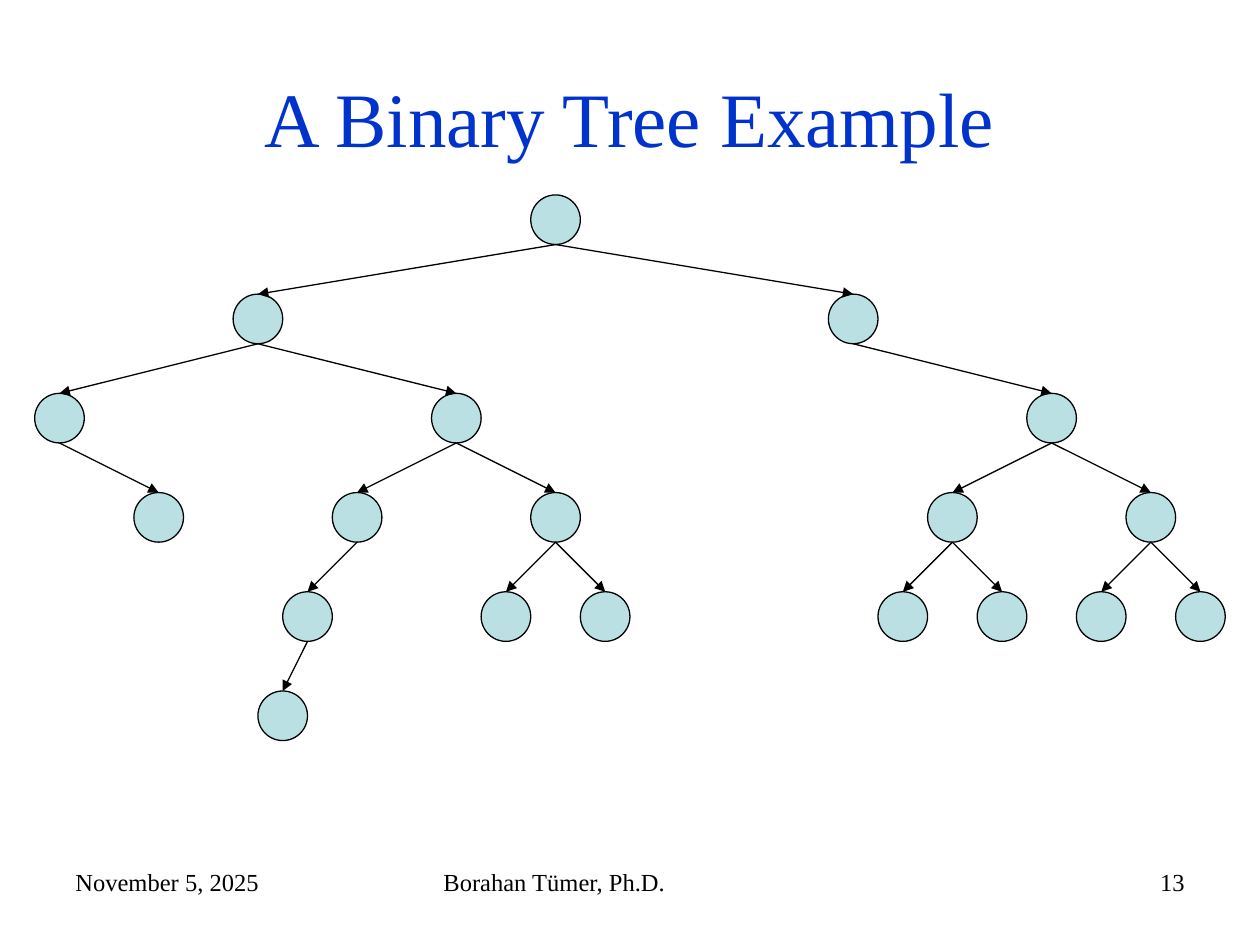
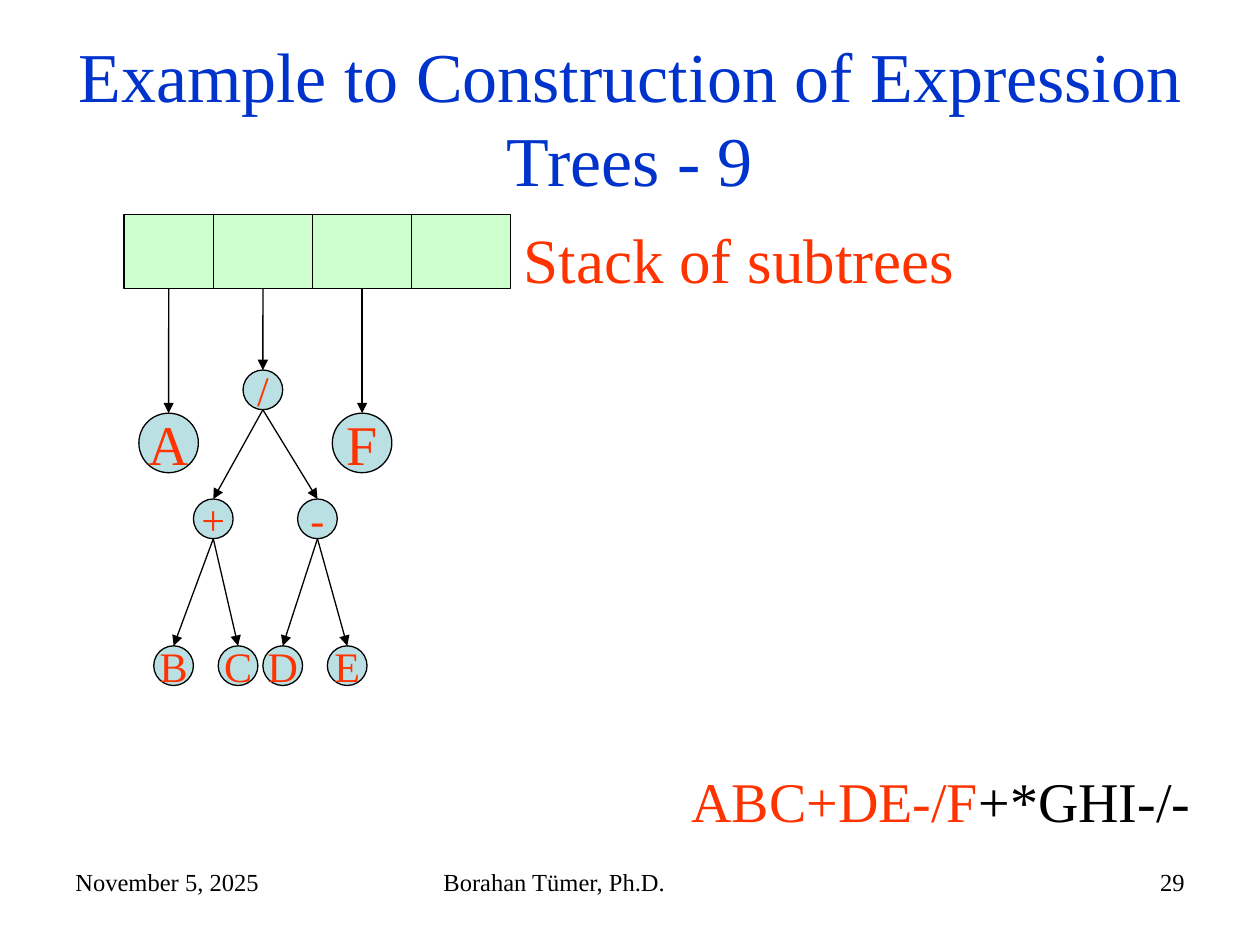
from dataclasses import dataclass, field
from typing import Optional

from lxml.etree import SubElement
from pptx import Presentation
from pptx.dml.color import RGBColor
from pptx.enum.shapes import MSO_CONNECTOR as Connector, MSO_SHAPE as Preset
from pptx.enum.text import MSO_ANCHOR as Anchor, MSO_AUTO_SIZE as AutoSize, PP_ALIGN as Align
from pptx.oxml.ns import qn
from pptx.util import Cm, Pt

FONT = "Times New Roman"
BLACK, BLUE, RED = "000000", "0033CC", "FF3300"
NODE_FILL, CELL_FILL = "BBE0E3", "CCFFCC"
TOP, BOTTOM = 0, 2  # connection sites of a rectangle


@dataclass
class Box:
    """A rectangle on the slide, in centimetres."""
    left: float
    top: float
    width: float
    height: float

    def lengths(self) -> list:
        return [Cm(value) for value in (self.left, self.top, self.width, self.height)]


@dataclass
class Node:
    """A tree node; center and top are in centimetres."""
    center: float
    top: float
    diameter: float
    label: str = ""
    label_size: int = 24
    children: list["Node"] = field(default_factory=list)


@dataclass
class FooterPart:
    box: Box
    align: Align
    text: Optional[str] = None  # None stands for the slide number


TITLE_BOX = Box(1.27, 0.76, 22.86, 3.18)
FOOTER = [
    FooterPart(Box(1.27, 17.35, 5.92, 1.32), Align.LEFT, "November 5, 2025"),
    FooterPart(Box(8.69, 17.35, 8.05, 1.32), Align.LEFT, "Borahan Tümer, Ph.D."),
    FooterPart(Box(18.21, 17.35, 5.92, 1.32), Align.RIGHT),
]

# Every node of the binary tree, named by the left and right turns from the root
BINARY_TREE = {
    "", "L", "R", "LL", "LR", "RR", "LLR", "LRL", "LRR", "RRL", "RRR",
    "LRLL", "LRRL", "LRRR", "RRLL", "RRLR", "RRRL", "RRRR", "LRLLL",
}
CHILD_OFFSETS = [6, 4, 2, 1, 0.5]
LEVEL_HEIGHT = 2


def color(value: str) -> RGBColor:
    return RGBColor.from_string(value)


def format_run(run, size: int, text_color: str) -> None:
    run.font.name = FONT
    run.font.size = Pt(size)
    run.font.color.rgb = color(text_color)


def add_text(slide, box: Box, parts: list[tuple[str, str]], size: int, align=Align.LEFT) -> None:
    """Add one paragraph made of (text, colour) parts."""
    text_frame = slide.shapes.add_textbox(*box.lengths()).text_frame
    text_frame.word_wrap = True
    paragraph = text_frame.paragraphs[0]
    paragraph.alignment = align
    for text, text_color in parts:
        run = paragraph.add_run()
        run.text = text
        format_run(run, size, text_color)


def add_titled_slide(presentation, title: str, title_size: int, number: int):
    slide = presentation.slides.add_slide(presentation.slide_layouts[5])
    placeholder = slide.shapes.title
    (placeholder.left, placeholder.top,
     placeholder.width, placeholder.height) = TITLE_BOX.lengths()
    text_frame = placeholder.text_frame
    text_frame.text = title
    text_frame.auto_size = AutoSize.NONE
    text_frame.vertical_anchor = Anchor.MIDDLE
    text_frame.paragraphs[0].alignment = Align.CENTER
    format_run(text_frame.paragraphs[0].runs[0], title_size, BLUE)
    for part in FOOTER:
        add_text(slide, part.box, [(part.text or str(number), BLACK)], 14, part.align)
    return slide


def add_outlined_shape(slide, preset: Preset, box: Box, fill: str):
    shape = slide.shapes.add_shape(preset, *box.lengths())
    shape.shadow.inherit = False
    shape.fill.solid()
    shape.fill.fore_color.rgb = color(fill)
    shape.line.color.rgb = color(BLACK)
    shape.line.width = Pt(0.75)
    return shape


def add_arrow(slide, start, end):
    """Draw an arrow from the bottom middle of start to the top middle of end."""
    arrow = slide.shapes.add_connector(
        Connector.STRAIGHT,
        start.left + start.width // 2, start.top + start.height,
        end.left + end.width // 2, end.top)
    arrow.line.color.rgb = color(BLACK)
    arrow.line.width = Pt(0.75)
    properties = arrow.element.spPr
    SubElement(properties.find(qn("a:ln")), qn("a:tailEnd"), type="triangle")
    SubElement(properties, qn("a:effectLst"))
    arrow.end_connect(end, TOP)
    return arrow


def draw_tree(slide, node: Node):
    """Draw a node with all its descendants and return the node's shape."""
    box = Box(node.center - node.diameter / 2, node.top, node.diameter, node.diameter)
    shape = add_outlined_shape(slide, Preset.OVAL, box, NODE_FILL)
    if node.label:
        text_frame = shape.text_frame
        text_frame.text = node.label
        text_frame.word_wrap = False
        text_frame.vertical_anchor = Anchor.MIDDLE
        text_frame.paragraphs[0].alignment = Align.CENTER
        format_run(text_frame.paragraphs[0].runs[0], node.label_size, RED)
    for child in node.children:
        add_arrow(slide, shape, draw_tree(slide, child))
    return shape


def grow_binary_tree(turns: str, center: float, top: float) -> Node:
    """Build the node reached by these turns, and everything below it."""
    node = Node(center, top, diameter=1)
    for turn, sign in (("L", -1), ("R", 1)):
        if turns + turn in BINARY_TREE:
            offset = sign * CHILD_OFFSETS[len(turns)]
            node.children.append(
                grow_binary_tree(turns + turn, center + offset, top + LEVEL_HEIGHT))
    return node


def build_binary_tree_slide(presentation) -> None:
    slide = add_titled_slide(presentation, "A Binary Tree Example", 44, 13)
    draw_tree(slide, grow_binary_tree("", center=11.2, top=3.93))


def operand(label: str, center: float) -> Node:
    return Node(center, 8.33, 1.2, label, 32)


def subtree_node(label: str, center: float, level: int, *children: Node) -> Node:
    level_tops = (7.46, 10.06, 13.02)
    return Node(center, level_tops[level], 0.8, label, children=list(children))


def build_expression_tree_slide(presentation) -> None:
    slide = add_titled_slide(
        presentation, "Example to Construction of Expression Trees - 9", 40, 29)
    add_text(slide, Box(13.69, 15.32, 10.62, 1.6), [("ABC+DE-/F", RED), ("+*GHI-/-", BLACK)], 32)
    add_text(slide, Box(10.31, 4.32, 9.5, 1.78), [("Stack of subtrees", RED)], 36)

    cells, left = [], 2.5
    for width in (1.8, 2, 2, 2):
        cells.append(add_outlined_shape(
            slide, Preset.RECTANGLE, Box(left, 4.32, width, 1.5), CELL_FILL))
        left += width

    quotient = subtree_node(
        "/", 5.3, 0,
        subtree_node("+", 4.3, 1, subtree_node("B", 3.5, 2), subtree_node("C", 4.8, 2)),
        subtree_node("-", 6.4, 1, subtree_node("D", 5.7, 2), subtree_node("E", 7, 2)))
    stack = [operand("A", 3.4), quotient, operand("F", 7.3)]
    for cell, tree in zip(cells, stack):
        add_arrow(slide, cell, draw_tree(slide, tree)).begin_connect(cell, BOTTOM)


def main() -> None:
    presentation = Presentation()
    presentation.slide_width, presentation.slide_height = Cm(25.4), Cm(19.05)
    build_binary_tree_slide(presentation)
    build_expression_tree_slide(presentation)
    presentation.save("out.pptx")


if __name__ == "__main__":
    main()
